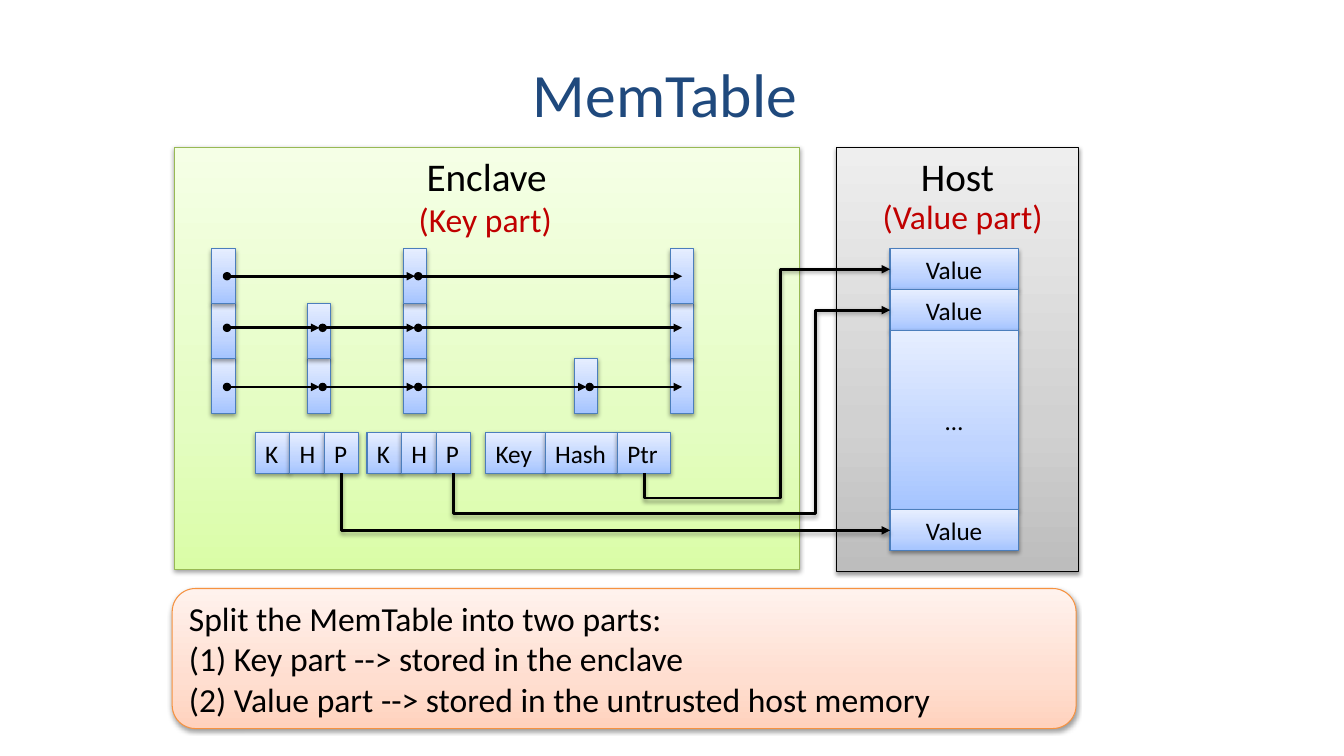
from copy import deepcopy
from dataclasses import dataclass
from itertools import pairwise

from lxml.etree import SubElement
from pptx import Presentation
from pptx.dml.color import RGBColor
from pptx.enum.shapes import MSO_CONNECTOR, MSO_SHAPE
from pptx.enum.text import MSO_ANCHOR, PP_ALIGN
from pptx.oxml import parse_xml
from pptx.oxml.ns import nsdecls, qn
from pptx.util import Cm, Pt


@dataclass(frozen=True)
class Theme:
    font: str = "Calibri"
    title: str = "1F497D"
    accent: str = "C00000"
    ink: str = "000000"
    # Each surface: gradient stops from bottom to top, then the outline
    green: tuple = ("DAFDA7", "E4FDC2", "F5FFE6", "98B954")
    grey: tuple = ("BDBDBD", "D1D1D1", "EEEEEE", "000000")
    orange: tuple = ("FFD2BD", "FFDED0", "FFF2ED", "F69240")
    blue: tuple = ("A4C4FF", "BFD4FF", "E6EEFF", "4B7EBC")
    title_size: int = 44
    heading_size: int = 28
    body_size: int = 24
    cell_size: int = 18


THEME = Theme()
SHADOW = (
    f'<a:effectLst {nsdecls("a")}><a:outerShdw blurRad="40000" dist="20000" dir="5400000" '
    'rotWithShape="0"><a:srgbClr val="000000"><a:alpha val="38000"/></a:srgbClr>'
    "</a:outerShdw></a:effectLst>"
)

prs = Presentation()
prs.slide_width, prs.slide_height = Cm(33.87), Cm(19.05)
slide = prs.slides.add_slide(prs.slide_layouts[5])
shapes = slide.shapes


def add_panel(box, surface, text="", size=THEME.cell_size, align=PP_ALIGN.CENTER,
              anchor=MSO_ANCHOR.MIDDLE, wrap=True, preset=MSO_SHAPE.RECTANGLE):
    """Add a shadowed gradient shape; box is left, top, width, height in cm."""
    panel = shapes.add_shape(preset, *map(Cm, box))
    *stop_colors, outline = surface
    fill = panel.fill
    fill.gradient()
    fill.gradient_angle = 90
    first_stop = fill.gradient_stops[0]._gs
    first_stop.addnext(deepcopy(first_stop))
    for stop, position, color in zip(fill.gradient_stops, (0, 0.35, 1), stop_colors):
        stop.position = position
        stop.color.rgb = RGBColor.from_string(color)
    panel.line.color.rgb = RGBColor.from_string(outline)
    panel.line.width = Pt(0.75)
    panel._element.spPr.append(parse_xml(SHADOW))
    frame = panel.text_frame
    frame.word_wrap = wrap
    frame.vertical_anchor = anchor
    frame.text = text
    for paragraph in frame.paragraphs:
        paragraph.alignment = align
        paragraph.font.name = THEME.font
        paragraph.font.size = Pt(size)
        paragraph.font.color.rgb = RGBColor.from_string(THEME.ink)
    return panel


def style_arrow(arrow, effects, oval_start=False):
    arrow.line.color.rgb = RGBColor.from_string(THEME.ink)
    arrow.line.width = Pt(2)
    outline = arrow.line._get_or_add_ln()
    if oval_start:
        SubElement(outline, qn("a:headEnd"), type="oval")
    SubElement(outline, qn("a:tailEnd"), type="triangle")
    arrow._element.spPr.append(parse_xml(effects))


title = shapes.title
title.left, title.top, title.width, title.height = Cm(1.52), Cm(0.76), Cm(30.48), Cm(3.18)
title.text_frame.text = "MemTable"
title.text_frame.vertical_anchor = MSO_ANCHOR.MIDDLE
heading = title.text_frame.paragraphs[0]
heading.alignment = PP_ALIGN.CENTER
heading.font.name = THEME.font
heading.font.size = Pt(THEME.title_size)
heading.font.color.rgb = RGBColor.from_string(THEME.title)

# Enclave, host and summary
add_panel((4.39, 3.71, 15.75, 10.64), THEME.green, "Enclave", THEME.heading_size,
          anchor=MSO_ANCHOR.TOP)
add_panel((21.08, 3.71, 6.1, 10.69), THEME.grey, "Host", THEME.heading_size,
          anchor=MSO_ANCHOR.TOP)
add_panel((4.34, 14.83, 22.78, 3.53), THEME.orange,
          "Split the MemTable into two parts:\n"
          "(1) Key part --> stored in the enclave\n"
          "(2) Value part --> stored in the untrusted host memory",
          THEME.body_size, PP_ALIGN.LEFT, preset=MSO_SHAPE.ROUNDED_RECTANGLE)

for part, box in (("(Key part)", (9.83, 4.88, 4.8, 1.27)),
                  ("(Value part)", (21.39, 4.8, 5.74, 1.27))):
    frame = shapes.add_textbox(*map(Cm, box)).text_frame
    frame.word_wrap = True
    frame.text = part
    label = frame.paragraphs[0]
    label.alignment = PP_ALIGN.CENTER
    label.font.name = THEME.font
    label.font.size = Pt(THEME.body_size)
    label.font.color.rgb = RGBColor.from_string(THEME.accent)

# Skip list: towers of nodes, then the links on each level
NODE_WIDTH, NODE_HEIGHT, LIST_BOTTOM = 0.59, 1.38, 10.41
towers = ((5.34, 3), (7.75, 2), (10.16, 3), (14.48, 1), (16.89, 3))
for left, height in towers:
    for level in range(1, height + 1):
        add_panel((left, LIST_BOTTOM - level * NODE_HEIGHT, NODE_WIDTH, NODE_HEIGHT), THEME.blue)

for level, y in enumerate((9.75, 8.26, 6.96), start=1):
    reached = [left for left, height in towers if height >= level]
    for start, end in pairwise(reached):
        link = shapes.add_connector(MSO_CONNECTOR.STRAIGHT,
                                    Cm(start + 0.38), Cm(y), Cm(end + 0.3), Cm(y))
        style_arrow(link, f'<a:effectLst {nsdecls("a")}/>', oval_start=True)

# Values in host memory
values = []
top = 6.27
for text, height in (("Value", 1.03), ("Value", 1.03), ("…", 4.52), ("Value", 1.03)):
    values.append(add_panel((22.43, top, 3.23, height), THEME.blue, text))
    top += height

# Key records; the last cell of each one holds the pointer
short_cells = (("K", 0.87), ("H", 0.87), ("P", 0.87))
long_cells = (("Key", 1.5), ("Hash", 1.82), ("Ptr", 1.35))
pointers = []
for left, cells in ((6.43, short_cells), (9.25, short_cells), (12.24, long_cells)):
    for text, width in cells:
        cell = add_panel((left, 10.9, width, 1.03), THEME.blue, text,
                         align=PP_ALIGN.LEFT, wrap=False)
        left += width
    pointers.append(cell)

# Pointer arrows leave downwards and arrive from the left; a bend is where they turn up
for pointer, value, bend in ((pointers[2], values[0], (19.66, 12.55)),
                             (pointers[1], values[1], (20.55, 12.95)),
                             (pointers[0], values[3], None)):
    x1, y1 = pointer.left + pointer.width // 2, pointer.top + pointer.height
    x2, y2 = value.left, value.top + value.height // 2
    center_x, center_y = (x1 + x2) // 2, (y1 + y2) // 2
    half_width, half_height = abs(y2 - y1) // 2, (x2 - x1) // 2
    if bend:
        half_height = -half_height
    arrow = shapes.add_connector(MSO_CONNECTOR.ELBOW,
                                 center_x + half_width, center_y - half_height,
                                 center_x - half_width, center_y + half_height)
    properties = arrow._element.spPr
    properties.find(qn("a:xfrm")).set("rot", str((90 if bend else 270) * 60000))
    geometry = properties.find(qn("a:prstGeom"))
    geometry.set("prst", "bentConnector4" if bend else "bentConnector2")
    if bend:
        turn_x, turn_y = map(Cm, bend)
        ratios = ((turn_y - y1) / (y2 - y1), (turn_x - x1) / (x2 - x1))
        guides = geometry.find(qn("a:avLst"))
        for number, ratio in enumerate(ratios, start=1):
            SubElement(guides, qn("a:gd"), name=f"adj{number}", fmla=f"val {round(ratio * 100000)}")
    style_arrow(arrow, SHADOW)

prs.save("out.pptx")
